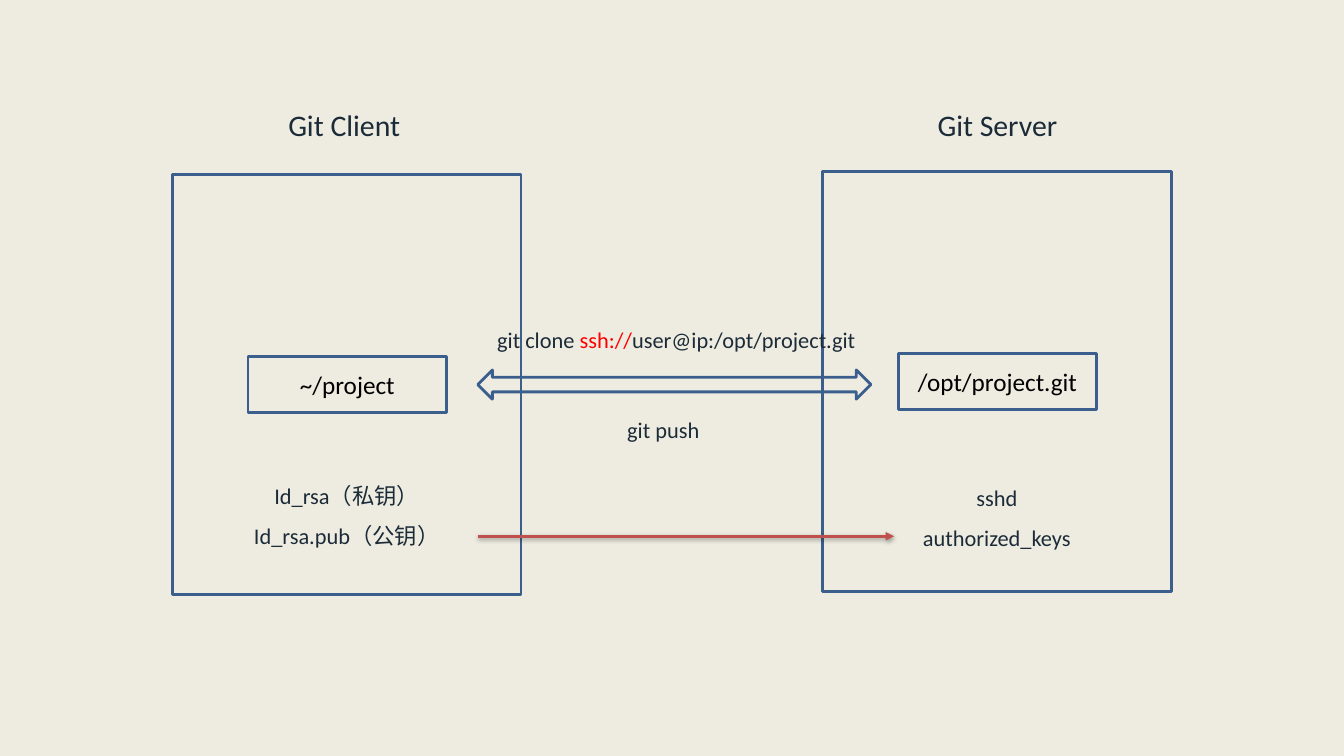
import pptx
import pptx.util
import pptx.dml.color
import pptx.enum.shapes
import pptx.enum.text
import pptx.oxml
import pptx.oxml.ns

HEX = {"back": "EEECE1", "edge": "3A5F8C", "ink": "1C2B38",
       "black": "000000", "red": "FF0000", "arrow": "C0504D"}
FONT = "Calibri"
WIDE, HIGH = pptx.util.Inches(13.33), pptx.util.Inches(7.5)
COLS, ROWS = 160, 90  # grid cells across and down the slide
SHAPE = pptx.enum.shapes.MSO_SHAPE
HOST_W, HOST_H = 41.52, 50.04
LANE_X = 56.88  # left end of both arrows


def color(name):
    return pptx.dml.color.RGBColor.from_string(HEX[name])


def place(x, y, w, h):
    cell_w, cell_h = WIDE / COLS, HIGH / ROWS
    return [round(n) for n in (x * cell_w, y * cell_h, w * cell_w, h * cell_h)]


def style(para, size, ink):
    para.alignment = pptx.enum.text.PP_ALIGN.CENTER
    para.font.name = FONT
    para.font.size = pptx.util.Pt(size)
    if ink:
        para.font.color.rgb = color(ink)


def frame(slide, kind, spot, text=""):
    """Outlined shape without fill, with an optional centred label."""
    shape = slide.shapes.add_shape(kind, *place(*spot))
    shape.shadow.inherit = False
    shape.fill.background()
    shape.line.color.rgb = color("edge")
    shape.line.width = pptx.util.Pt(2)
    if text:
        shape.text_frame.text = text
        shape.text_frame.vertical_anchor = pptx.enum.text.MSO_ANCHOR.MIDDLE
        style(shape.text_frame.paragraphs[0], 18, "black")


def label(slide, spot, lines, size=16):
    """Text box; each line is a string or a list of (text, colour) runs."""
    body = slide.shapes.add_textbox(*place(*spot)).text_frame
    body.word_wrap = True
    body.auto_size = pptx.enum.text.MSO_AUTO_SIZE.SHAPE_TO_FIT_TEXT
    for i, line in enumerate(lines):
        para = body.add_paragraph() if i else body.paragraphs[0]
        para.line_spacing = 1.5
        if isinstance(line, str):
            para.text = line
            style(para, size, "ink")
            continue
        style(para, size, None)
        for text, ink in line:
            run = para.add_run()
            run.text = text
            run.font.color.rgb = color(ink)


def host(slide, x, y, name, name_x, repo, keys, keys_y):
    """One machine: its name, outline, repository and key files."""
    frame(slide, SHAPE.RECTANGLE, (x, y, HOST_W, HOST_H))
    label(slide, (name_x, 9.96, 18.6, 6.96), [name], 21.3)
    frame(slide, SHAPE.RECTANGLE, (x + 9, y + 21.72, 23.64, 6.6), repo)
    label(slide, (x - 1.44, keys_y, 44.4, 10.92), keys)


def arrow(slide, x, y, end):
    """Level arrow with a soft shadow below it."""
    left, top, span, _ = place(x, y, end - x, 0)
    line = slide.shapes.add_connector(
        pptx.enum.shapes.MSO_CONNECTOR.STRAIGHT, left, top, left + span, top)
    line.line.color.rgb = color("arrow")
    line.line.width = pptx.util.Pt(2)
    space = pptx.oxml.ns.nsdecls("a")
    line.line._get_or_add_ln().append(
        pptx.oxml.parse_xml(f'<a:tailEnd {space} type="triangle"/>'))
    blur, drop = pptx.util.Pt(3.1), pptx.util.Pt(1.6)
    line._element.spPr.append(pptx.oxml.parse_xml(
        f'<a:effectLst {space}><a:outerShdw blurRad="{blur}" dist="{drop}" '
        f'dir="5400000" rotWithShape="0"><a:srgbClr val="{HEX["black"]}">'
        '<a:alpha val="38000"/></a:srgbClr></a:outerShdw></a:effectLst>'))


def main():
    deck = pptx.Presentation()
    deck.slide_width, deck.slide_height = WIDE, HIGH
    slide = deck.slides.add_slide(deck.slide_layouts[6])
    slide.background.fill.solid()
    slide.background.fill.fore_color.rgb = color("back")

    # Machines
    host(slide, 20.52, 20.76, "Git Client", 31.68, "~/project",
         ["Id_rsa（私钥）", "Id_rsa.pub（公钥）"], 55.2)
    host(slide, 97.92, 20.4, "Git Server", 109.44, "/opt/project.git",
         ["sshd", "authorized_keys"], 55.44)

    # Traffic between the repositories
    label(slide, (48.84, 36.6, 63.36, 6),
          [[("git clone ", "ink"), ("ssh://", "red"),
            ("user@ip:/opt/project.git", "ink")]])
    frame(slide, SHAPE.LEFT_RIGHT_ARROW, (LANE_X, 44.04, 46.8, 3.48))
    label(slide, (65.4, 47.4, 27.12, 6), ["git push"])

    # Public key handed to the server
    arrow(slide, LANE_X, 63.84, 106.44)
    deck.save("out.pptx")


if __name__ == "__main__":
    main()
